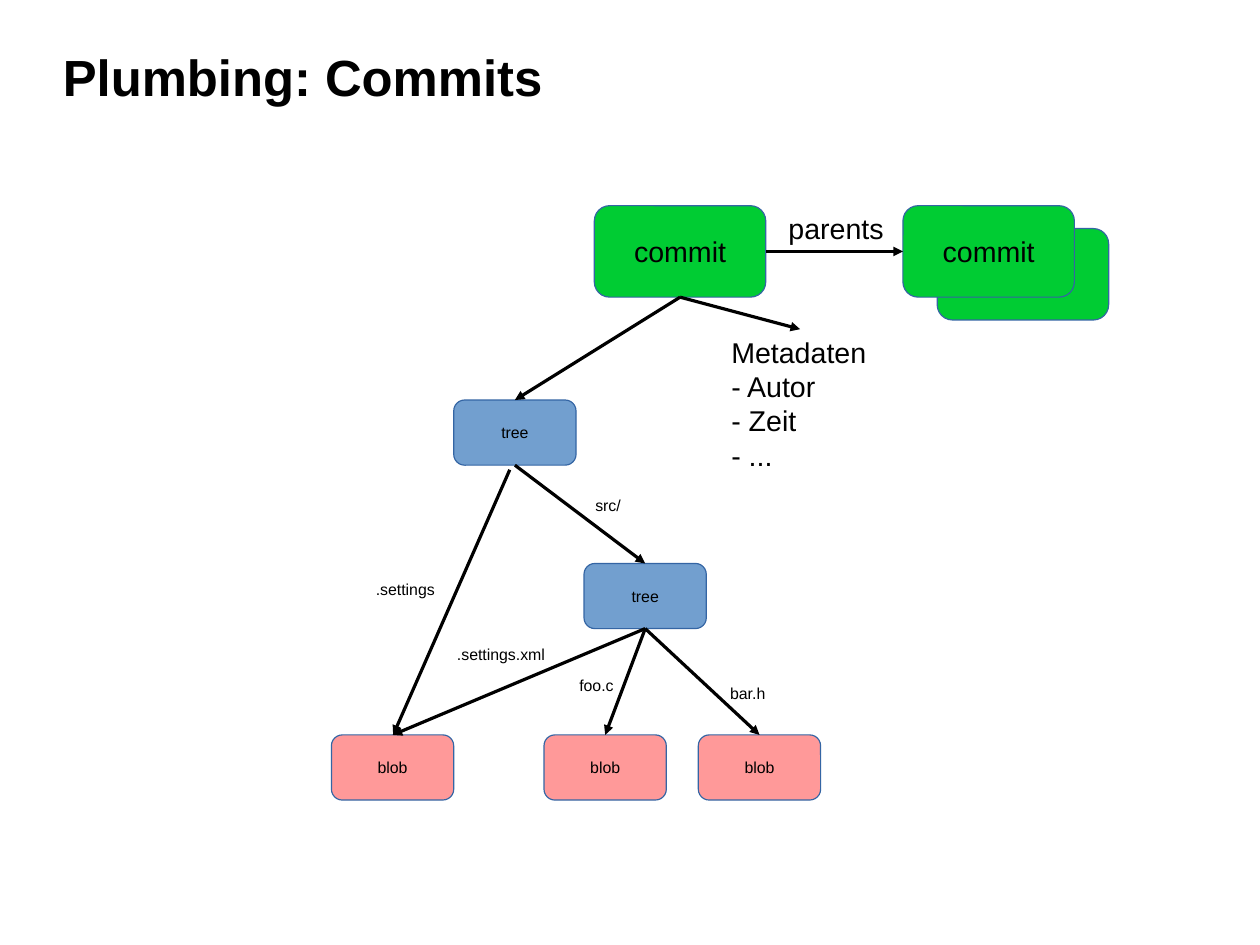
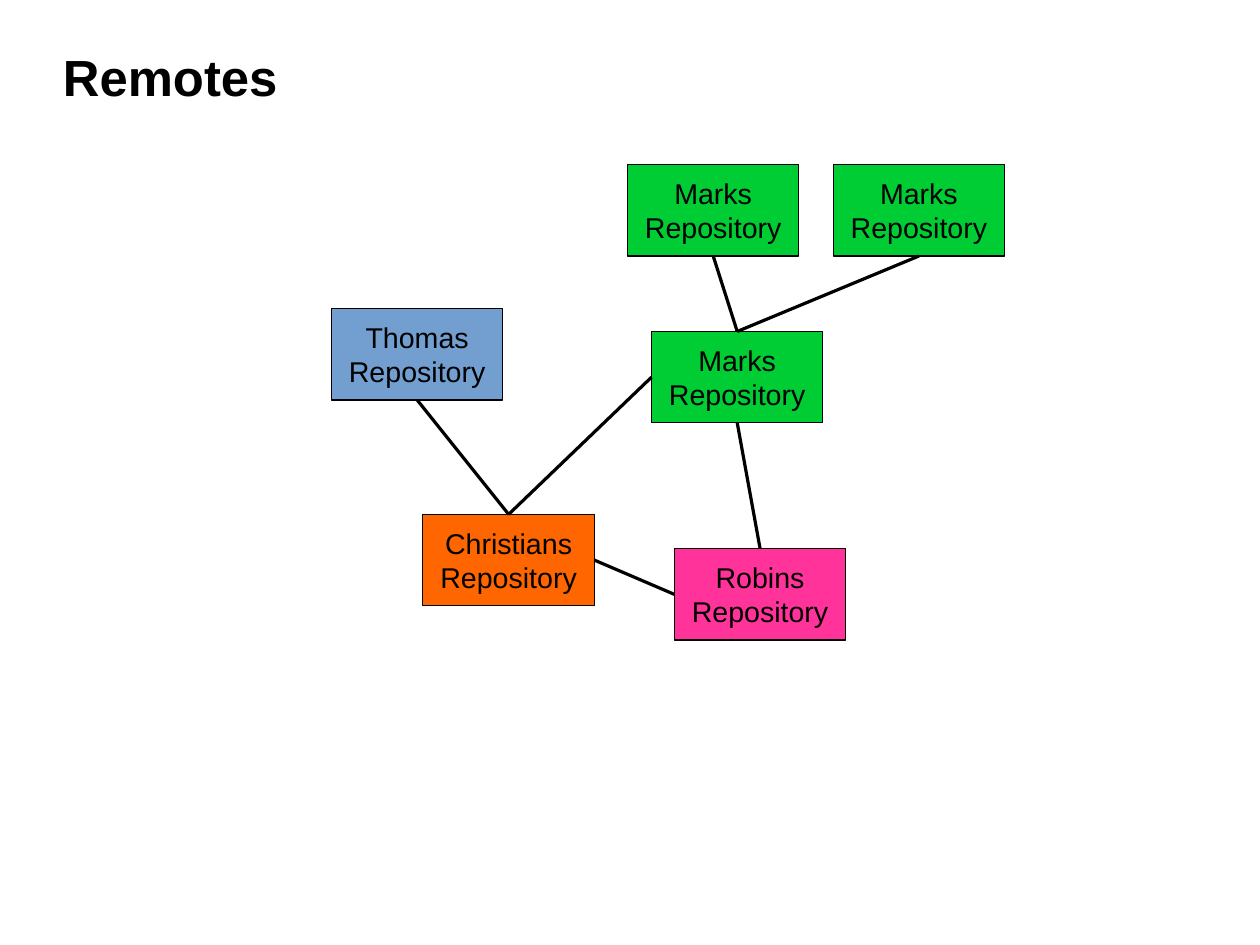
from copy import deepcopy

from lxml import etree
from pptx import Presentation
from pptx.dml.color import RGBColor
from pptx.enum.shapes import MSO_CONNECTOR, MSO_SHAPE
from pptx.enum.text import MSO_ANCHOR, MSO_AUTO_SIZE, PP_ALIGN
from pptx.oxml.ns import qn
from pptx.util import Inches, Pt

STRAIGHT = MSO_CONNECTOR.STRAIGHT
RECT, ROUNDED = MSO_SHAPE.RECTANGLE, MSO_SHAPE.ROUNDED_RECTANGLE
MIDDLE, NO_FIT = MSO_ANCHOR.MIDDLE, MSO_AUTO_SIZE.NONE
LEFT_ALIGN, CENTER = PP_ALIGN.LEFT, PP_ALIGN.CENTER
TOP, LEFT, BOTTOM, RIGHT = range(4)

CM_PER_INCH = 2.54
SLIDE_CM = (28, 21)
FONT = "Arial"
BLACK, EDGE = "000000", "3465A4"
GREEN, BLUE, ROSE = "00CC33", "729FCF", "FF9999"
ORANGE, PINK = "FF6600", "FF3399"
LARGE_BOX, SMALL_BOX = (1.5, 0.8), (1.07, 0.57)
LARGE, SMALL = 18, 10
HAIRLINE = Pt(0)


def rgb(color):
    """Turn a hex string into a colour."""
    return RGBColor.from_string(color)


def write(tf, text, size, align=LEFT_ALIGN, bold=False):
    """Fill the first paragraph of a text frame and format its runs and breaks."""
    p = tf.paragraphs[0]
    p.text = text
    p.alignment = align
    for r in p.runs:
        r.font.name = FONT
        r.font.size = Pt(size)
        r.font.bold = bold
        r.font.color.rgb = rgb(BLACK)
    for br in p._p.findall(qn("a:br")):
        br.append(deepcopy(p.runs[0]._r.rPr))


def add_slide(prs, title):
    """Add a slide with the shared title style."""
    s = prs.slides.add_slide(prs.slide_layouts[5])
    sp = s.shapes.title
    sp.left, sp.top, sp.width, sp.height = map(Inches, (0.55, 0.33, 9.92, 0.67))
    tf = sp.text_frame
    tf.margin_left = tf.margin_top = tf.margin_right = tf.margin_bottom = 0
    tf.vertical_anchor = MIDDLE
    tf.auto_size = NO_FIT
    write(tf, title, 32, bold=True)
    return s


def add_box(s, kind, x, y, dims, text, size, fill, edge):
    """Add a filled box with centred text."""
    sp = s.shapes.add_shape(kind, *map(Inches, (x, y, *dims)))
    sp.shadow.inherit = False
    sp.fill.solid()
    sp.fill.fore_color.rgb = rgb(fill)
    sp.line.color.rgb = rgb(edge)
    sp.line.width = HAIRLINE
    tf = sp.text_frame
    tf.word_wrap = False
    tf.vertical_anchor = MIDDLE
    write(tf, text, size, CENTER)
    return sp


def add_commit(s, x, y):
    """Add a large green commit box."""
    return add_box(s, ROUNDED, x, y, LARGE_BOX, "commit", LARGE, GREEN, EDGE)


def add_node(s, x, y, text, fill):
    """Add a small tree or blob box."""
    return add_box(s, ROUNDED, x, y, SMALL_BOX, text, SMALL, fill, EDGE)


def add_repository(s, x, y, owner, fill):
    """Add a repository box named after its owner."""
    return add_box(s, RECT, x, y, LARGE_BOX, f"{owner}\nRepository", LARGE, fill, BLACK)


def add_label(s, x, y, w, h, text, size):
    """Add a left-aligned text box."""
    sp = s.shapes.add_textbox(*map(Inches, (x, y, w, h)))
    sp.text_frame.word_wrap = True
    write(sp.text_frame, text, size)
    return sp


def add_line(s, start=(0, 0), end=(0, 0), arrow=False):
    """Draw a straight line, optionally with an arrowhead at its end."""
    line = s.shapes.add_connector(STRAIGHT, *map(Inches, (*start, *end)))
    line.line.color.rgb = rgb(BLACK)
    line.line.width = HAIRLINE
    if arrow:
        etree.SubElement(line.line._get_or_add_ln(), qn("a:tailEnd"), type="triangle")
    etree.SubElement(line._element.spPr, qn("a:effectLst"))
    return line


def link(s, source, source_side, target, target_side, arrow=False):
    """Join the sides of two shapes with a line."""
    line = add_line(s, arrow=arrow)
    line.begin_connect(source, source_side)
    line.end_connect(target, target_side)


def build_commits(prs):
    """Build the slide on the commit graph."""
    s = add_slide(prs, "Plumbing: Commits")
    root = add_node(s, 3.97, 3.5, "tree", BLUE)
    subtree = add_node(s, 5.11, 4.93, "tree", BLUE)
    settings, foo, bar = [add_node(s, x, 6.43, "blob", ROSE) for x in (2.9, 4.76, 6.11)]
    commit = add_commit(s, 5.2, 1.8)
    add_commit(s, 8.2, 2)
    parent = add_commit(s, 7.9, 1.8)
    metadata = add_label(s, 6.3, 2.88, 1.4, 1.22, "Metadaten\n- Autor\n- Zeit\n- ...", LARGE)
    add_label(s, 6.8, 1.8, 1.2, 0.4, "parents", LARGE)
    for x, y, w, text in (
        (4.97, 5.86, 0.53, "foo.c"),
        (6.29, 5.93, 0.54, "bar.h"),
        (3.19, 5.02, 0.86, ".settings"),
        (5.11, 4.29, 0.86, "src/"),
        (3.9, 5.59, 1.14, ".settings.xml"),
    ):
        add_label(s, x, y, w, 0.27, text, SMALL)
    for source, target in (
        (commit, root),
        (commit, metadata),
        (root, subtree),
        (subtree, settings),
        (subtree, foo),
        (subtree, bar),
    ):
        link(s, source, BOTTOM, target, TOP, arrow=True)
    link(s, commit, RIGHT, parent, LEFT, arrow=True)
    add_line(s, (4.46, 4.11), (3.44, 6.43), arrow=True)


def build_remotes(prs):
    """Build the slide on linked repositories."""
    s = add_slide(prs, "Remotes")
    thomas = add_repository(s, 2.9, 2.7, "Thomas", BLUE)
    mark = add_repository(s, 5.7, 2.9, "Marks", GREEN)
    christian = add_repository(s, 3.7, 4.5, "Christians", ORANGE)
    robin = add_repository(s, 5.9, 4.8, "Robins", PINK)
    for x in (7.29, 5.49):
        link(s, add_repository(s, x, 1.44, "Marks", GREEN), BOTTOM, mark, TOP)
    link(s, thomas, BOTTOM, christian, TOP)
    link(s, mark, BOTTOM, robin, TOP)
    link(s, christian, RIGHT, robin, LEFT)
    link(s, mark, LEFT, christian, TOP)


def main():
    """Build and save the presentation."""
    prs = Presentation()
    prs.slide_width, prs.slide_height = [Inches(side / CM_PER_INCH) for side in SLIDE_CM]
    build_commits(prs)
    build_remotes(prs)
    prs.save("out.pptx")


main()
